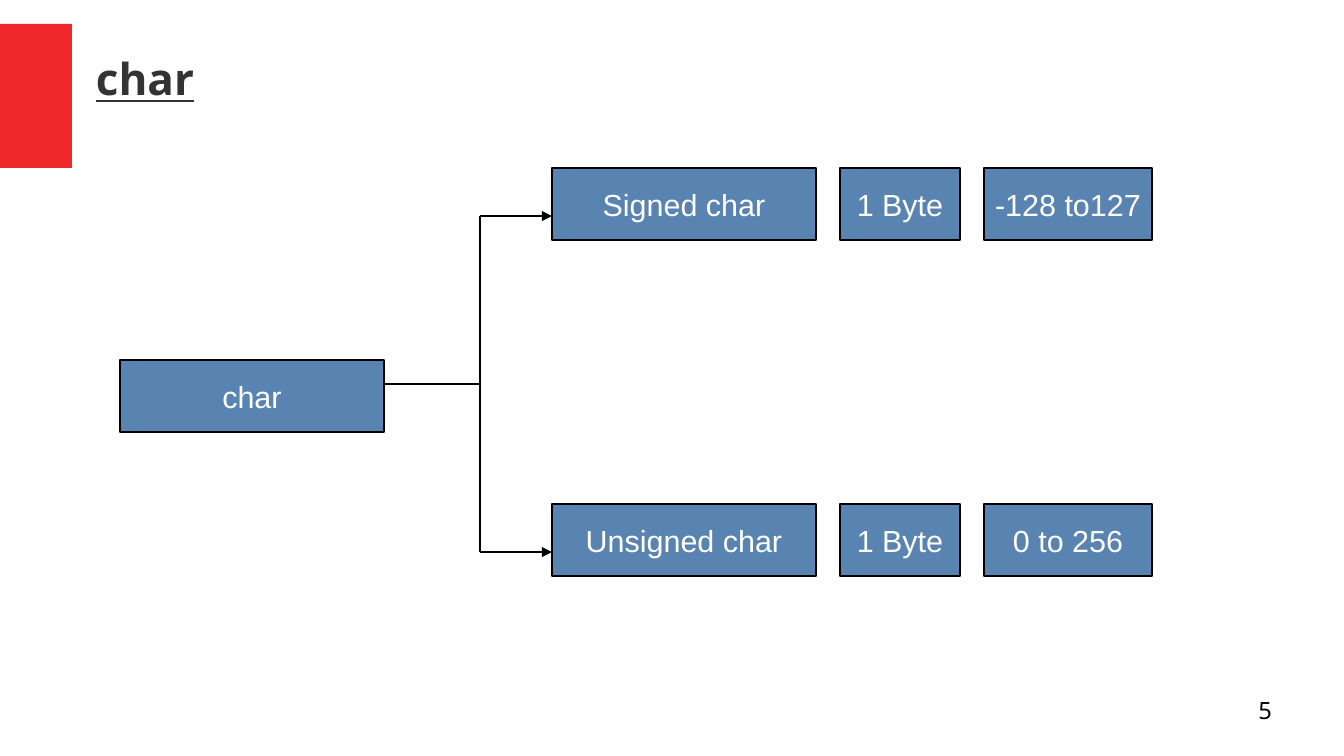
from dataclasses import dataclass

from lxml import etree
from pptx import Presentation, util as u
from pptx.dml.color import RGBColor
from pptx.enum import shapes, text
from pptx.oxml import ns


@dataclass(frozen=True)
class Theme:
    """Colours, fonts and type sizes of the slide."""
    accent: RGBColor = RGBColor(0xEF, 0x29, 0x29)
    node: RGBColor = RGBColor(0x59, 0x83, 0xB0)
    ink: RGBColor = RGBColor(0, 0, 0)
    heading: RGBColor = RGBColor(0x33, 0x33, 0x33)
    white: RGBColor = RGBColor(0xFF, 0xFF, 0xFF)
    heading_font: str = "Noto Sans"
    node_font: str = "Arial"
    heading_size: int = 26
    node_size: int = 18
    number_size: int = 14
    line_width: float = 0.85


THEME = Theme()


def set_text(shape, words, color, frame_format, align, **font_format):
    """Write one formatted paragraph into a shape."""
    frame = shape.text_frame
    for name, value in frame_format.items():
        setattr(frame, name, value)
    para = frame.paragraphs[0]
    para.alignment = align
    span = para.add_run()
    span.text = words
    for name, value in font_format.items():
        setattr(span.font, name, value)
    span.font.color.rgb = color


def add_rectangle(page, box, fill):
    """Add a flat rectangle without an outline."""
    shape = page.shapes.add_shape(shapes.MSO_SHAPE.RECTANGLE, *map(u.Cm, box))
    shape.shadow.inherit = False
    shape.fill.solid()
    shape.fill.fore_color.rgb = fill
    shape.line.fill.background()
    return shape


def add_label(page, box, words, color, align, anchor, **font_format):
    """Add a text box without margins."""
    label = page.shapes.add_textbox(*map(u.Cm, box))
    margins = dict.fromkeys(
        ("margin_left", "margin_top", "margin_right", "margin_bottom"), 0)
    set_text(label, words, color,
             {**margins, "word_wrap": True, "vertical_anchor": anchor},
             align, name=THEME.heading_font, **font_format)


def add_node(page, box, words):
    """Add an outlined box with a centred caption."""
    node = add_rectangle(page, box, THEME.node)
    node.line.color.rgb = THEME.ink
    node.line.width = u.Pt(THEME.line_width)
    set_text(node, words, THEME.white,
             {"word_wrap": False, "vertical_anchor": text.MSO_ANCHOR.MIDDLE},
             text.PP_ALIGN.CENTER,
             name=THEME.node_font, size=u.Pt(THEME.node_size))


def add_line(page, start, end, arrow=False):
    """Draw a straight line, with an arrowhead at its end on request."""
    line = page.shapes.add_connector(
        shapes.MSO_CONNECTOR.STRAIGHT, *map(u.Cm, (*start, *end)))
    line.line.color.rgb = THEME.ink
    line.line.width = u.Pt(THEME.line_width)
    if arrow:
        etree.SubElement(line.line._get_or_add_ln(), ns.qn("a:tailEnd"),
                         type="triangle")
    etree.SubElement(line._element.spPr, ns.qn("a:effectLst"))


def draw_header(page, box):
    """Draw the accent block and the title beside it."""
    left, top, width, height = box
    add_rectangle(page, (left, top, 1.5, height), THEME.accent)
    add_label(page, (left + 2, top + 0.5, width - 3, 1.25), "char",
              THEME.heading, text.PP_ALIGN.LEFT, text.MSO_ANCHOR.MIDDLE,
              size=u.Pt(THEME.heading_size), bold=True, underline=True)


def draw_tree(page, box):
    """Draw the type tree: a root and one row of facts per branch."""
    left, top, width, height = box
    node_width, node_height, gap = 5.5, 1.5, 0.5
    widths = (node_width, 2.5, 3.5)
    branches_left = left + width - sum(widths) - gap * (len(widths) - 1)
    trunk = branches_left - 1.5
    root_top = top + 4
    rows = (
        (top, ("Signed char", "1 Byte", "-128 to127")),
        (top + height - node_height, ("Unsigned char", "1 Byte", "0 to 256")),
    )
    add_node(page, (left, root_top, node_width, node_height), "char")
    add_line(page, (left + node_width, root_top + 0.5),
             (trunk, root_top + 0.5))
    arrow_tops = [row_top + 1 for row_top, _ in rows]
    add_line(page, (trunk, arrow_tops[0]), (trunk, arrow_tops[-1]))
    for (row_top, facts), arrow_top in zip(rows, arrow_tops):
        add_line(page, (trunk, arrow_top), (branches_left, arrow_top), True)
        fact_left = branches_left
        for words, fact_width in zip(facts, widths):
            add_node(page, (fact_left, row_top, fact_width, node_height), words)
            fact_left += fact_width + gap


def draw_number(page, box):
    """Draw the slide number."""
    add_label(page, box, "5", THEME.ink, text.PP_ALIGN.RIGHT,
              text.MSO_ANCHOR.TOP, size=u.Pt(THEME.number_size))


def main():
    """Build and save the deck."""
    deck = Presentation()
    deck.slide_width, deck.slide_height = u.Cm(28), u.Cm(15.75)
    page = deck.slides.add_slide(deck.slide_layouts[6])
    draw_header(page, (0, 0.5, 28, 3))
    draw_tree(page, (2.5, 3.5, 21.5, 8.5))
    draw_number(page, (20, 14.5, 6.5, 1.1))
    deck.save("out.pptx")


if __name__ == "__main__":
    main()
